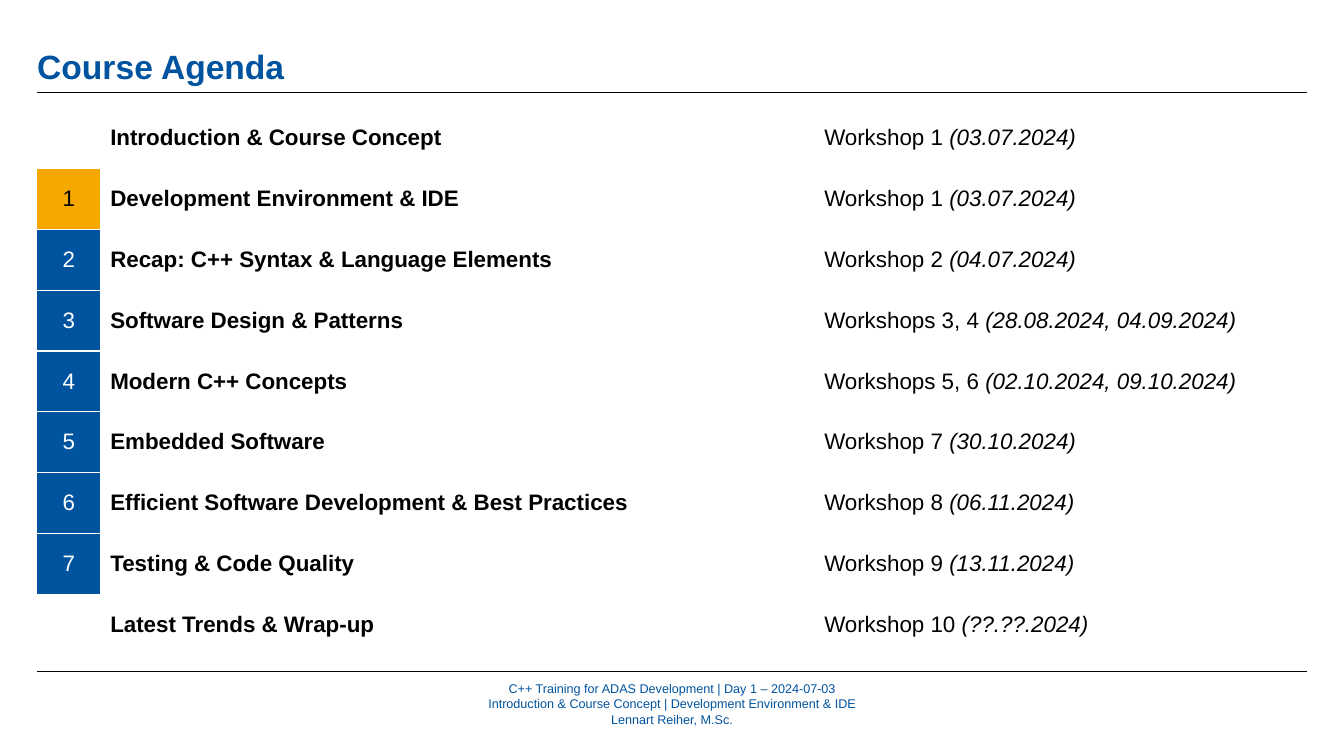
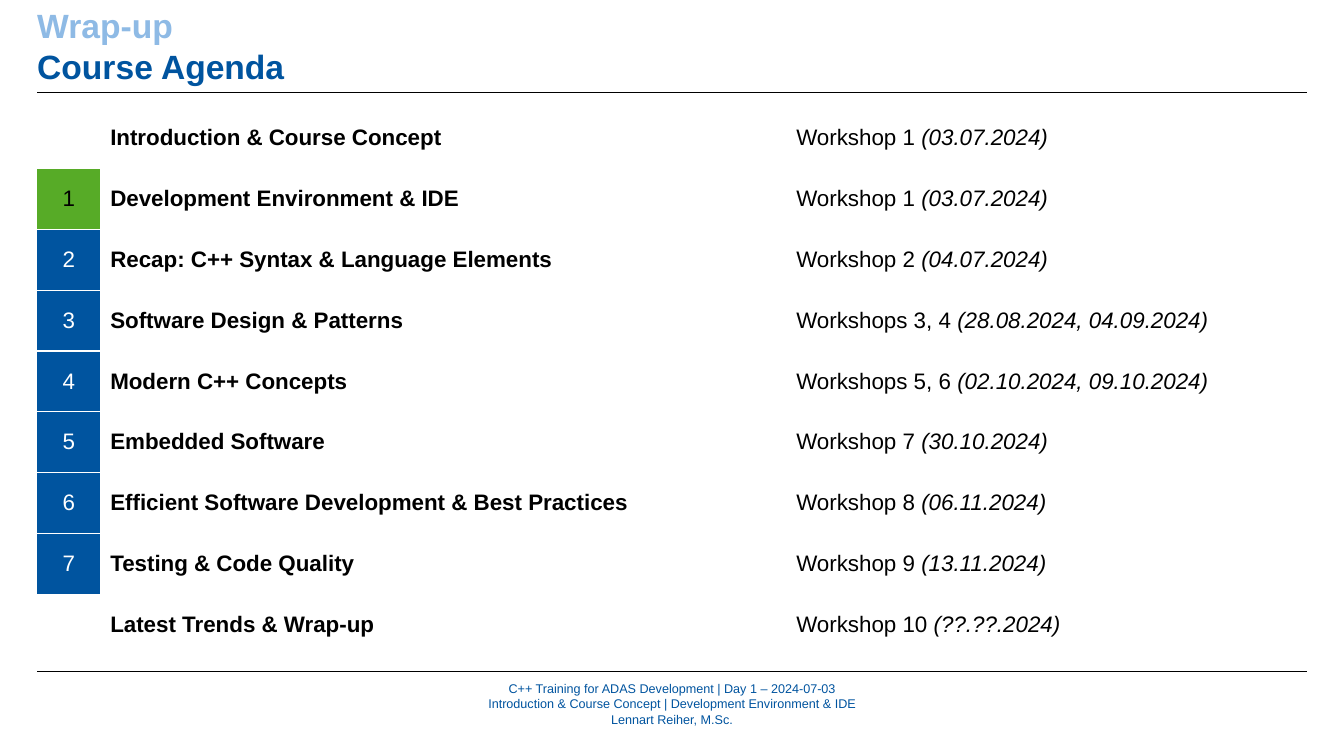
from lxml.etree import SubElement
from pptx import Presentation
from pptx.dml.color import RGBColor
from pptx.enum.shapes import MSO_CONNECTOR
from pptx.enum.text import MSO_ANCHOR, MSO_AUTO_SIZE, PP_ALIGN
from pptx.oxml.ns import qn
from pptx.util import Pt

BLUE = RGBColor(0x00, 0x54, 0x9F)
LIGHT_BLUE = RGBColor(0x8E, 0xBA, 0xE5)
ORANGE = RGBColor(0xF6, 0xA8, 0x00)
GREEN = RGBColor(0x57, 0xAB, 0x27)
BLACK = RGBColor(0x00, 0x00, 0x00)
WHITE = RGBColor(0xFF, 0xFF, 0xFF)

FONT = "Arial"
LEFT, WIDTH = 26.6, 907.2
RULE_TOPS = (66.2, 479.5)
TABLE_TOP, ROW_HEIGHT = 77, 43.45
NUMBER_WIDTH, DATE_WIDTH = 45, 352
NO_STYLE = "{2D5ABB26-0587-4C30-8999-92F81FD0307C}"

FOOTER = (
    "C++ Training for ADAS Development | Day 1 – 2024-07-03",
    "Introduction & Course Concept | Development Environment & IDE\vLennart Reiher, M.Sc.",
)
AGENDA = [
    ("", "Introduction & Course Concept", "Workshop 1 ", "(03.07.2024)"),
    ("1", "Development Environment & IDE", "Workshop 1 ", "(03.07.2024)"),
    ("2", "Recap: C++ Syntax & Language Elements", "Workshop 2 ", "(04.07.2024)"),
    ("3", "Software Design & Patterns", "Workshops 3, 4 ", "(28.08.2024, 04.09.2024)"),
    ("4", "Modern C++ Concepts", "Workshops 5, 6 ", "(02.10.2024, 09.10.2024)"),
    ("5", "Embedded Software", "Workshop 7 ", "(30.10.2024)"),
    ("6", "Efficient Software Development & Best Practices", "Workshop 8 ", "(06.11.2024)"),
    ("7", "Testing & Code Quality", "Workshop 9 ", "(13.11.2024)"),
    ("", "Latest Trends & Wrap-up", "Workshop 10 ", "(??.??.2024)"),
]
# title lines with colours, colour of topic 1, width of the topic column
SLIDES = [
    ([("Course Agenda", BLUE)], ORANGE, 510),
    ([("Wrap-up", LIGHT_BLUE), ("Course Agenda", BLUE)], GREEN, 490),
]


def add_text(paragraph, text, size, color, **font_values):
    paragraph.add_run().text = text
    for run in paragraph.runs:
        run.font.color.rgb = color
        for key, value in dict(name=FONT, size=Pt(size), **font_values).items():
            setattr(run.font, key, value)


def set_frame(frame, anchor):
    """Give a text frame no margins, fixed size and the anchor."""
    values = dict(margin_left=0, margin_right=0, margin_top=0, margin_bottom=0,
                  word_wrap=True, auto_size=MSO_AUTO_SIZE.NONE, vertical_anchor=anchor)
    for key, value in values.items():
        setattr(frame, key, value)


prs = Presentation()
prs.slide_width, prs.slide_height = Pt(960), Pt(540)

for title_lines, current_color, topic_width in SLIDES:
    slide = prs.slides.add_slide(prs.slide_layouts[5])

    title = slide.shapes.title
    title.left, title.top, title.width, title.height = Pt(LEFT), Pt(3.6), Pt(WIDTH), Pt(58.3)
    set_frame(title.text_frame, MSO_ANCHOR.BOTTOM)
    for index, (text, color) in enumerate(title_lines):
        paragraph = title.text_frame.add_paragraph() if index else title.text_frame.paragraphs[0]
        paragraph.alignment = PP_ALIGN.LEFT
        paragraph.space_before = Pt(1 if index else 0)
        add_text(paragraph, text, 24, color, bold=True)

    for top in RULE_TOPS:
        rule = slide.shapes.add_connector(
            MSO_CONNECTOR.STRAIGHT, Pt(LEFT), Pt(top), Pt(LEFT + WIDTH), Pt(top))
        rule.line.color.rgb = BLACK
        rule.line.width = Pt(0.5)
        SubElement(rule.element.spPr, qn("a:effectLst"))

    footer = slide.shapes.add_textbox(Pt(247), Pt(486), Pt(466), Pt(33)).text_frame
    set_frame(footer, MSO_ANCHOR.MIDDLE)
    for index, text in enumerate(FOOTER):
        paragraph = footer.add_paragraph() if index else footer.paragraphs[0]
        paragraph.alignment = PP_ALIGN.CENTER
        paragraph.line_spacing = Pt(11)
        first, *rest = text.split("\v")
        add_text(paragraph, first, 9, BLUE)
        for line in rest:
            paragraph.add_line_break()
            add_text(paragraph, line, 9, BLUE)

    widths = (NUMBER_WIDTH, topic_width, DATE_WIDTH)
    agenda = slide.shapes.add_table(
        len(AGENDA), len(widths), Pt(LEFT), Pt(TABLE_TOP),
        Pt(sum(widths)), Pt(ROW_HEIGHT * len(AGENDA)))
    for style in agenda.element.iter(qn("a:tableStyleId")):
        style.text = NO_STYLE
    table = agenda.table
    table.first_row = table.horz_banding = False
    for column, width in zip(table.columns, widths):
        column.width = Pt(width)

    for row, (number, topic, workshop, dates) in enumerate(AGENDA):
        table.rows[row].height = Pt(ROW_HEIGHT)
        number_cell, topic_cell, date_cell = (table.cell(row, col) for col in range(3))
        for cell in (number_cell, topic_cell, date_cell):
            cell.vertical_anchor = MSO_ANCHOR.MIDDLE

        if number:
            is_current = number == "1"
            for side in ("a:lnB",) if is_current else ("a:lnT", "a:lnB"):
                border = SubElement(number_cell._tc.get_or_add_tcPr(), qn(side), w=str(Pt(1)))
                SubElement(SubElement(border, qn("a:solidFill")), qn("a:srgbClr"), val=str(WHITE))
            number_cell.fill.solid()
            number_cell.fill.fore_color.rgb = current_color if is_current else BLUE
            paragraph = number_cell.text_frame.paragraphs[0]
            paragraph.alignment = PP_ALIGN.CENTER
            add_text(paragraph, number, 16, BLACK if is_current else WHITE)
        else:
            number_cell.fill.background()

        topic_cell.fill.background()
        add_text(topic_cell.text_frame.paragraphs[0], topic, 16, BLACK, bold=True)
        date_cell.fill.background()
        paragraph = date_cell.text_frame.paragraphs[0]
        add_text(paragraph, workshop, 16, BLACK)
        paragraph.add_run().text = dates
        for key, value in dict(name=FONT, size=Pt(16), italic=True).items():
            setattr(paragraph.runs[-1].font, key, value)
        paragraph.runs[-1].font.color.rgb = BLACK

prs.save("out.pptx")
